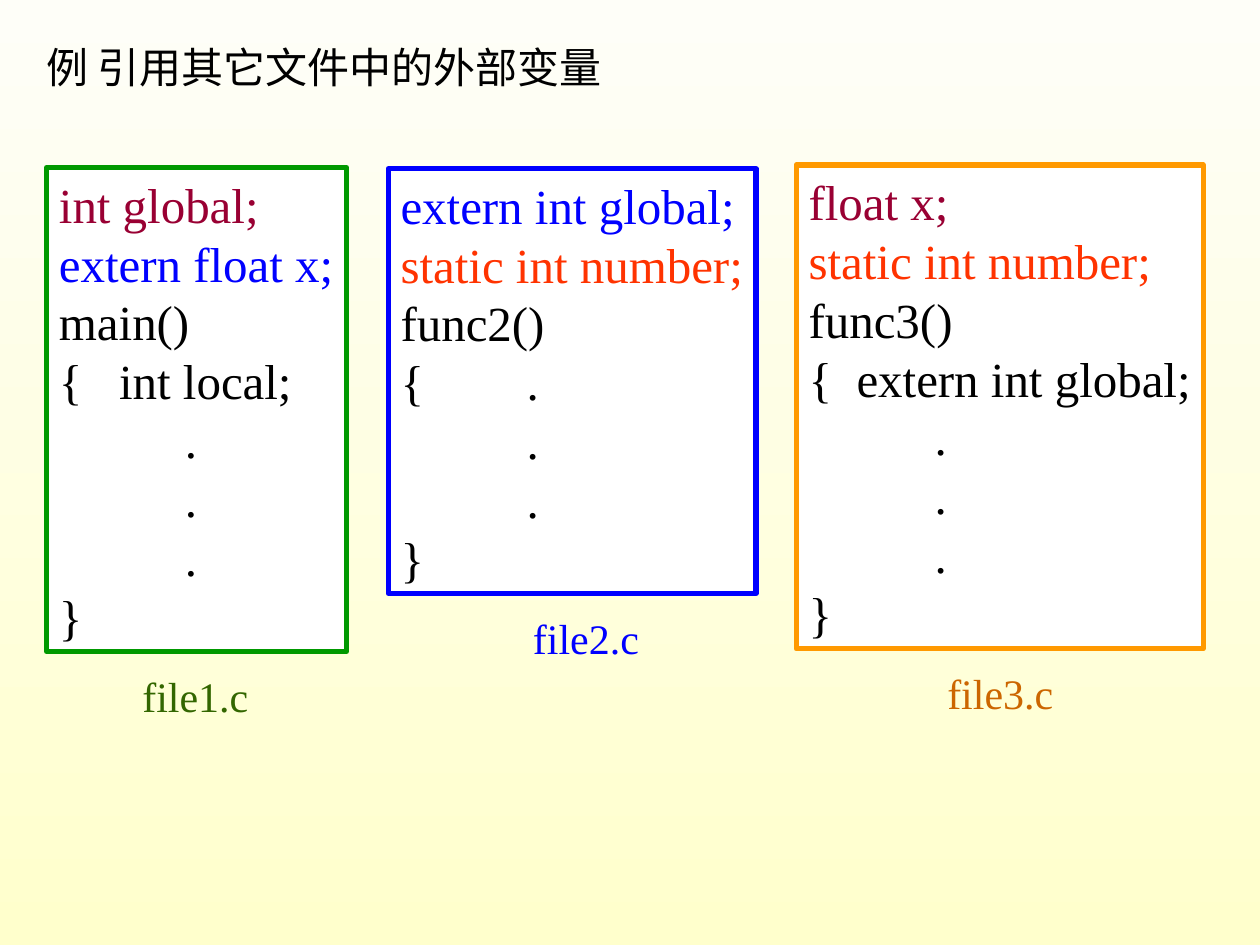
from dataclasses import dataclass

from lxml.etree import SubElement
from pptx import Presentation
from pptx.dml.color import RGBColor
from pptx.enum.shapes import MSO_SHAPE as Preset
from pptx.enum.text import MSO_ANCHOR as Anchor, MSO_AUTO_SIZE as AutoSize, PP_ALIGN as Align
from pptx.oxml.ns import qn
from pptx.shapes.base import BaseShape
from pptx.slide import Slide
from pptx.util import Pt

FONT = "Times New Roman"
COLORS = {
    "black": "000000", "white": "FFFFFF", "cream": "FEFEF8", "yellow": "FFFFCC",
    "maroon": "990033", "blue": "0000FF", "red": "FF3300", "green": "009900",
    "orange": "FF9900", "dark_green": "336600", "brown": "CC6600",
}
Line = tuple[str, str]
DOT: Line = ("\t.", "black")
CLOSE: Line = ("}", "black")
STATIC: Line = ("static int number;", "red")


@dataclass
class SourceFile:
    name: str
    left: float
    top: float
    width: float
    height: float
    border: str
    caption_left: float
    caption_color: str
    lines: list[Line]


FILES = [
    SourceFile("file1.c", 26.6, 95.8, 171.4, 276.5, "green", 74.2, "dark_green", [
        ("int global;", "maroon"), ("extern float x;", "blue"), ("main()", "black"),
        ("{   int local;", "black"), DOT, DOT, DOT, CLOSE]),
    SourceFile("file2.c", 221.8, 96.5, 210.2, 242.6, "blue", 297.4, "blue", [
        ("extern int global;", "blue"), STATIC, ("func2()", "black"),
        ("{\t.", "black"), DOT, DOT, CLOSE]),
    SourceFile("file3.c", 455, 94.3, 232.6, 276.5, "orange", 534.2, "brown", [
        ("float x;", "maroon"), STATIC, ("func3()", "black"),
        ("{  extern int global;", "black"), DOT, DOT, DOT, CLOSE]),
]


def color(name: str) -> RGBColor:
    """Return the named colour."""
    return RGBColor.from_string(COLORS[name])


def write_lines(shape: BaseShape, lines: list[Line], size: float, align: Align, anchor: Anchor) -> None:
    """Fill a shape with one coloured paragraph per line."""
    frame = shape.text_frame
    frame.text = "\n".join(text for text, _ in lines)
    frame.word_wrap = False
    frame.auto_size = AutoSize.SHAPE_TO_FIT_TEXT
    frame.vertical_anchor = anchor
    for paragraph, (_, name) in zip(frame.paragraphs, lines):
        paragraph.alignment = align
        tabs = SubElement(paragraph._p.get_or_add_pPr(), qn("a:tabLst"))
        SubElement(tabs, qn("a:tab"), pos=str(Pt(72)), algn="l")
        for run in paragraph.runs:
            run.font.name = FONT
            run.font.size = Pt(size)
            run.font.color.rgb = color(name)


def add_label(slide: Slide, left: float, top: float, width: float, line: Line,
              align: Align = Align.CENTER, anchor: Anchor = Anchor.MIDDLE) -> None:
    """Add a single line of text."""
    box = slide.shapes.add_textbox(Pt(left), Pt(top), Pt(width), Pt(36))
    write_lines(box, [line], 24, align, anchor)


def add_source_file(slide: Slide, file: SourceFile) -> None:
    """Add a bordered code listing with its file name below."""
    box = slide.shapes.add_shape(
        Preset.RECTANGLE, Pt(file.left), Pt(file.top), Pt(file.width), Pt(file.height))
    box.shadow.inherit = False
    box.fill.solid()
    box.fill.fore_color.rgb = color("white")
    box.line.color.rgb = color(file.border)
    box.line.width = Pt(3)
    write_lines(box, file.lines, 28, Align.LEFT, Anchor.MIDDLE)
    add_label(slide, file.caption_left, file.top + file.height + 7.2, 74.9,
              (file.name, file.caption_color))


def paint_background(slide: Slide) -> None:
    """Paint a vertical gradient behind the slide."""
    fill = slide.background.fill
    fill.gradient()
    fill.gradient_angle = 270
    for stop, name in zip(fill.gradient_stops, ("cream", "yellow")):
        stop.color.rgb = color(name)


def main() -> None:
    """Build and save the slide."""
    presentation = Presentation()
    presentation.slide_width, presentation.slide_height = Pt(720), Pt(540)
    slide = presentation.slides.add_slide(presentation.slide_layouts[6])
    paint_background(slide)
    add_label(slide, 19.4, 20.2, 331.9, ("例 引用其它文件中的外部变量", "black"),
              Align.LEFT, Anchor.TOP)
    for file in FILES:
        add_source_file(slide, file)
    presentation.save("out.pptx")


if __name__ == "__main__":
    main()
